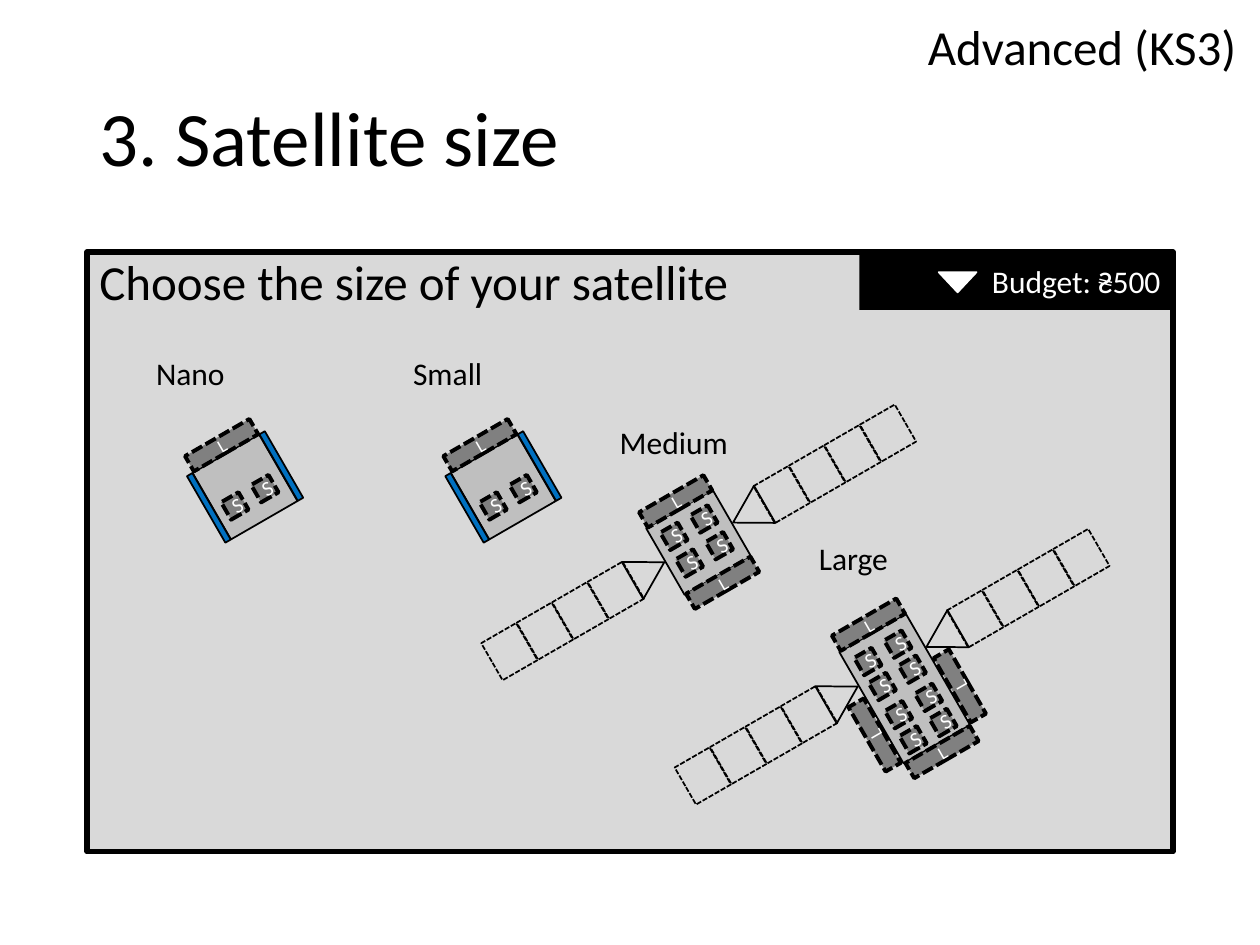
"""Build the satellite size slide on a grid of 100 columns by 75 rows."""
from dataclasses import dataclass
from math import cos, radians, sin

from pptx import Presentation
from pptx import util as u
from pptx.dml.color import RGBColor
from pptx.enum import dml, shapes, text

BLACK = RGBColor(0x00, 0x00, 0x00)
WHITE = RGBColor(0xFF, 0xFF, 0xFF)
PALE = RGBColor(0xD9, 0xD9, 0xD9)
SILVER = RGBColor(0xBF, 0xBF, 0xBF)
GREY = RGBColor(0x80, 0x80, 0x80)
BLUE = RGBColor(0x00, 0x70, 0xC0)
RECT = shapes.MSO_SHAPE.RECTANGLE
TRI = shapes.MSO_SHAPE.ISOSCELES_TRIANGLE
LEFT, MID, RIGHT = text.PP_ALIGN.LEFT, text.PP_ALIGN.CENTER, text.PP_ALIGN.RIGHT
CELL = u.Inches(0.1)
TILT = radians(30)


@dataclass
class Box:
    """A place on the grid, in columns and rows."""
    col: float
    row: float
    wide: float
    high: float

    def spans(self) -> list[int]:
        """Return left, top, width and height as lengths."""
        return [round(n * CELL) for n in (self.col, self.row, self.wide, self.high)]


@dataclass
class Look:
    """Fill, line and dash of a shape."""
    fill: RGBColor | None = None
    line: RGBColor | None = BLACK
    width: float = 1
    dash: bool = False


@dataclass
class Craft:
    """A satellite; its slots are placed along and across its tilted body."""
    name: str
    label: tuple[float, float]
    mid: tuple[float, float]
    length: float
    small: list[float]
    ends: list[float]
    sides: float | None = None
    wing: float | None = None


HULL, OPEN, DASHED = Look(SILVER), Look(), Look(dash=True)
PANEL, SLOT = Look(BLUE), Look(GREY, BLACK, 2.25, True)

FLEET = [
    Craft("Medium", (48.2, 33.1), (55.45, 43.05), 6.1, [-1.4, 1.05], [-3.73, 3.73], wing=0),
    Craft("Small", (31.8, 27.6), (39.95, 38.65), 6.1, [0.9], [-3.8]),
    Craft("Large", (64, 42.3), (71.8, 54.65), 10.2, [-3.32, -1.03, 1.55, 3.85],
          [-5.82, 5.85], sides=2, wing=-2),
    Craft("Nano", (11.4, 27.6), (19.45, 38.65), 6.1, [0.9], [-3.8]),
]


def paint(shape, look: Look) -> None:
    """Apply a look to a shape."""
    shape.shadow.inherit = False
    if look.fill is None:
        shape.fill.background()
    else:
        shape.fill.solid()
        shape.fill.fore_color.rgb = look.fill
    if look.line is None:
        shape.line.fill.background()
    else:
        shape.line.color.rgb = look.line
        shape.line.width = u.Pt(look.width)
    if look.dash:
        shape.line.dash_style = dml.MSO_LINE.SQUARE_DOT


def write(shape, words: str, size: float, ink: RGBColor = BLACK, align=LEFT,
          anchor=text.MSO_ANCHOR.TOP) -> None:
    """Set and format the words of a shape."""
    frame = shape.text_frame
    frame.text = words
    frame.word_wrap = True
    frame.vertical_anchor = anchor
    para = frame.paragraphs[0]
    para.alignment = align
    font = para.runs[0].font
    font.name, font.size, font.color.rgb = "Calibri", u.Pt(size), ink


def block(home, box: Box, look: Look, kind=RECT, turn: float = 0):
    """Add a painted shape to a slide or group."""
    shape = home.shapes.add_shape(kind, *box.spans())
    shape.rotation = turn
    paint(shape, look)
    return shape


def label(slide, box: Box, words: str, size: float, align=LEFT) -> None:
    """Add a plain text box."""
    note = slide.shapes.add_textbox(*box.spans())
    write(note, words, size, align=align)
    note.text_frame.auto_size = text.MSO_AUTO_SIZE.SHAPE_TO_FIT_TEXT


def part(group, craft: Craft, along: float, across: float, size: tuple[float, float],
         look: Look, turn: float = 60, kind=RECT):
    """Add a part centred at a point of the tilted frame of a craft."""
    col = craft.mid[0] + along * cos(TILT) + across * sin(TILT)
    row = craft.mid[1] - along * sin(TILT) + across * cos(TILT)
    wide, high = size
    return block(group, Box(col - wide / 2, row - high / 2, wide, high), look, kind, turn)


def slot(group, craft: Craft, along: float, across: float, big: bool,
         turn: float = 330) -> None:
    """Add a lettered instrument slot."""
    size, sign, points = ((5.9, 1.4), "L", 10.5) if big else ((1.6, 1.6), "S", 12)
    shape = part(group, craft, along, across, size, SLOT, turn)
    write(shape, sign, points, WHITE, MID, text.MSO_ANCHOR.MIDDLE)


def build(slide, craft: Craft) -> None:
    """Draw a whole satellite as a group, with its name."""
    group = slide.shapes.add_group_shape()
    part(group, craft, 0, 0, (craft.length, 6.1), HULL)
    for side, turn in ((-1, 60), (1, 240)):
        if craft.wing is None:
            part(group, craft, side * 3.32, 0, (6.1, 0.5), PANEL)
            continue
        part(group, craft, side * 4.6, craft.wing, (3.4, 2.9), OPEN, turn, TRI)
        for step in range(4):
            part(group, craft, side * (7.6 + 3.25 * step), craft.wing, (3.4, 3.2), DASHED, turn)
    for across in craft.small:
        for along in (-1.45, 1.3):
            slot(group, craft, along, across, False)
    for across in craft.ends:
        slot(group, craft, 0.05, across, True)
    if craft.sides is not None:
        for along in (3.9, -3.9):
            slot(group, craft, along, craft.sides, True, 240)
    label(slide, Box(*craft.label, 16.2, 4), craft.name, 18)


def main() -> None:
    """Build and save the slide."""
    deck = Presentation()
    deck.slide_width, deck.slide_height = 100 * CELL, 75 * CELL
    slide = deck.slides.add_slide(deck.slide_layouts[5])

    title = slide.shapes.title
    title.left, title.top, title.width, title.height = Box(6.9, 4, 86.2, 14.5).spans()
    write(title, "3. Satellite size", 44, anchor=text.MSO_ANCHOR.MIDDLE)
    title.text_frame.paragraphs[0].line_spacing = 0.9
    label(slide, Box(69.5, 0.8, 29.6, 5.7), "Advanced (KS3)", 28, RIGHT)

    board = block(slide, Box(6.9, 20, 86.2, 47.6), Look(PALE, BLACK, 3))
    write(board, "Choose the size of your satellite", 28)
    board.text_frame.paragraphs[0].line_spacing = 0.9

    budget = block(slide, Box(68.2, 20, 24.9, 4.6), Look(BLACK, None))
    write(budget, "Budget: ₴500", 18, WHITE, RIGHT, text.MSO_ANCHOR.MIDDLE)
    block(slide, Box(74.5, 21.6, 3, 1.6), Look(WHITE, WHITE), TRI, 180)

    for craft in FLEET:
        build(slide, craft)
    deck.save("out.pptx")


if __name__ == "__main__":
    main()
